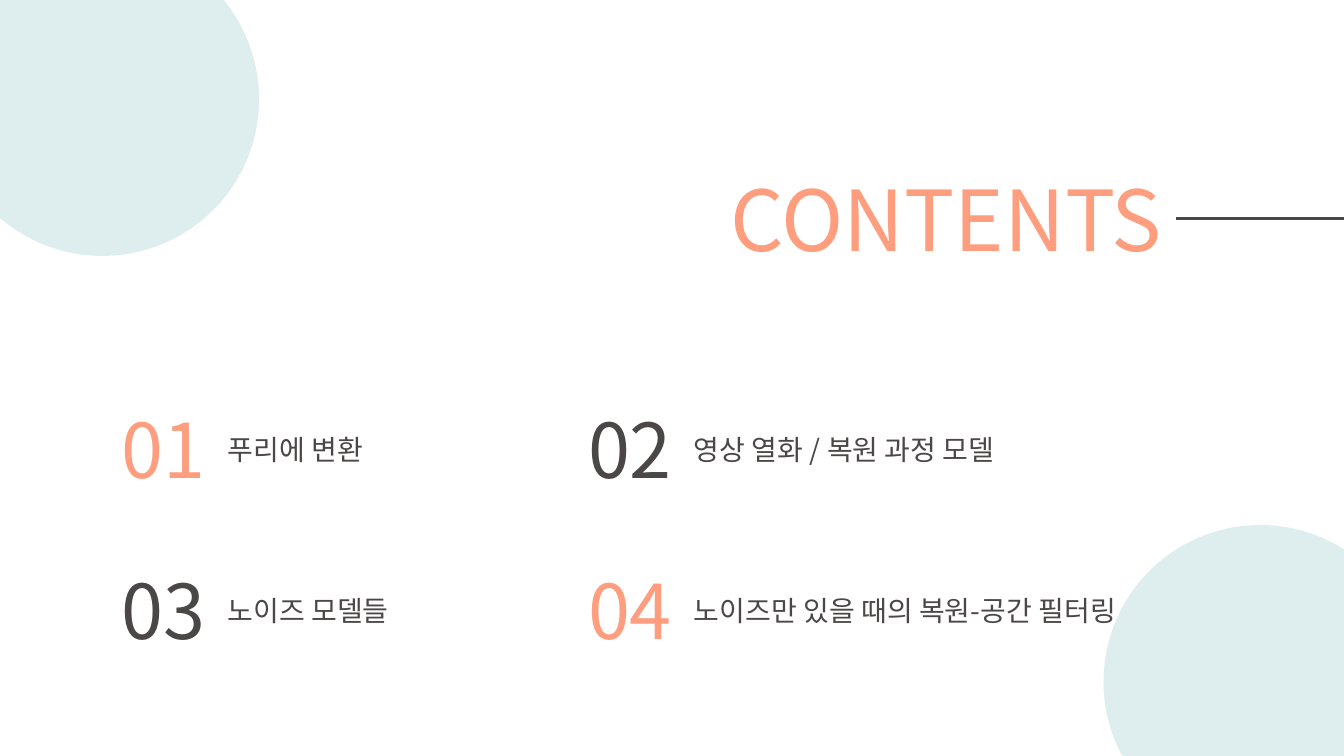
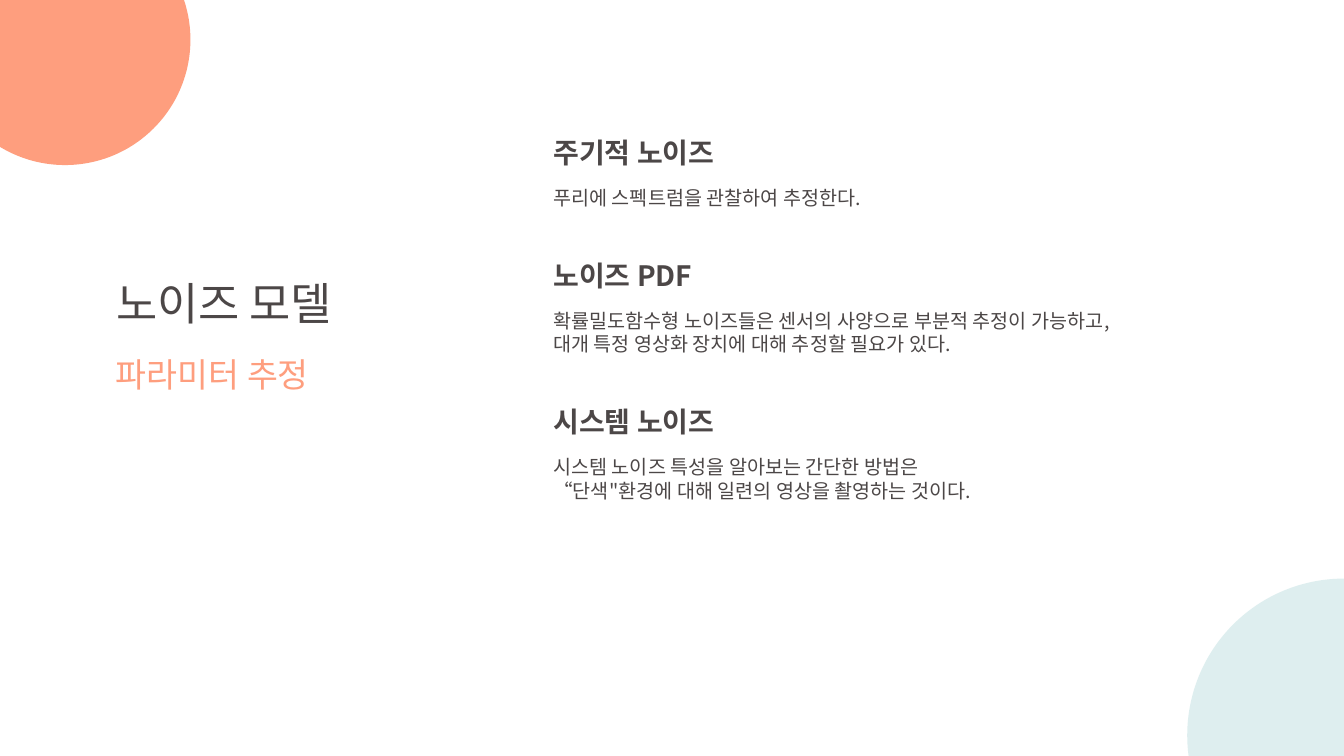
"""Build a contents slide and a noise model slide."""
from lxml import etree
from pptx import Presentation
from pptx import util as u
from pptx.dml.color import RGBColor
from pptx.enum import shapes, text
from pptx.oxml.ns import qn

CORAL = RGBColor(0xFE, 0x9E, 0x7E)
CHARCOAL = RGBColor(0x4C, 0x47, 0x47)
MINT = RGBColor(0xC8, 0xE4, 0xE5)
FONT = "Noto Sans CJK KR"
SLIDE_WIDTH, SLIDE_HEIGHT = 33.87, 19.05
MINT_DIAMETER = 7.9
TITLE_ONLY, TITLE_AND_BODY = 5, 1

AGENDA = [
    ("01", "푸리에 변환", CORAL),
    ("02", "영상 열화 / 복원 과정 모델", CHARCOAL),
    ("03", "노이즈 모델들", CHARCOAL),
    ("04", "노이즈만 있을 때의 복원-공간 필터링", CORAL),
]
SECTIONS = [
    ("주기적 노이즈", ["푸리에 스펙트럼을 관찰하여 추정한다."]),
    ("노이즈 PDF", ["확률밀도함수형 노이즈들은 센서의 사양으로 부분적 추정이 가능하고,",
                  "대개 특정 영상화 장치에 대해 추정할 필요가 있다."]),
    ("시스템 노이즈", ["시스템 노이즈 특성을 알아보는 간단한 방법은",
                  "“단색\"환경에 대해 일련의 영상을 촬영하는 것이다."]),
]


def write_text(frame, content, *, size, color=CHARCOAL, bold=False, before=0):
    paragraph = frame.paragraphs[0]
    if paragraph.runs:
        paragraph = frame.add_paragraph()
    properties = paragraph._p.get_or_add_pPr()
    properties.set("marL", "0")
    properties.set("indent", "0")
    etree.SubElement(properties, qn("a:buNone"))
    paragraph.alignment = text.PP_ALIGN.LEFT
    paragraph.line_spacing = 1.0
    paragraph.space_before = u.Pt(before)
    paragraph.space_after = u.Pt(0)
    run = paragraph.add_run()
    run.text = content
    run.font.size = u.Pt(size)
    run.font.bold = bold
    run.font.color.rgb = color
    run.font.name = FONT
    east_asian = etree.SubElement(run._r.get_or_add_rPr(), qn("a:ea"))
    east_asian.set("typeface", FONT)


class Deck:
    def __init__(self):
        self.presentation = Presentation()
        self.presentation.slide_width = u.Cm(SLIDE_WIDTH)
        self.presentation.slide_height = u.Cm(SLIDE_HEIGHT)
        self.slide = None

    def add_slide(self, layout):
        layouts = self.presentation.slide_layouts
        self.slide = self.presentation.slides.add_slide(layouts[layout])

    def prepare_frame(self, shape):
        frame = shape.text_frame
        frame.word_wrap = True
        frame.auto_size = text.MSO_AUTO_SIZE.NONE
        frame.vertical_anchor = text.MSO_ANCHOR.TOP
        return frame

    def fill_placeholder(self, shape, left, top, width, height):
        shape.left, shape.top = u.Cm(left), u.Cm(top)
        shape.width, shape.height = u.Cm(width), u.Cm(height)
        return self.prepare_frame(shape)

    def title(self, content, left, top, width, height, **style):
        frame = self.fill_placeholder(self.slide.shapes.title, left, top, width, height)
        write_text(frame, content, **style)

    def sections(self, sections, left, top, width, height):
        frame = self.fill_placeholder(self.slide.placeholders[1], left, top, width, height)
        for index, (heading, lines) in enumerate(sections):
            write_text(frame, heading, size=20, bold=True, before=35 if index else 0)
            for number, line in enumerate(lines):
                write_text(frame, line, size=14, before=0 if number else 12)

    def label(self, content, left, top, width, height, **style):
        box = self.slide.shapes.add_textbox(u.Cm(left), u.Cm(top), u.Cm(width), u.Cm(height))
        write_text(self.prepare_frame(box), content, **style)

    def circle(self, left, top, diameter=MINT_DIAMETER, color=MINT, opacity=60):
        shape = self.slide.shapes.add_shape(
            shapes.MSO_SHAPE.OVAL, u.Cm(left), u.Cm(top), u.Cm(diameter), u.Cm(diameter))
        shape.shadow.inherit = False
        shape.line.fill.background()
        shape.fill.solid()
        shape.fill.fore_color.rgb = color
        if opacity < 100:
            fill_color = shape._element.spPr.find(".//" + qn("a:srgbClr"))
            etree.SubElement(fill_color, qn("a:alpha")).set("val", str(opacity * 1000))

    def rule(self, left, right, top):
        connector = self.slide.shapes.add_connector(
            shapes.MSO_CONNECTOR.STRAIGHT, u.Cm(left), u.Cm(top), u.Cm(right), u.Cm(top))
        connector.line.color.rgb = CHARCOAL
        connector.line.width = u.Pt(2.25)
        etree.SubElement(connector._element.spPr, qn("a:effectLst"))


def build_contents(deck):
    deck.add_slide(TITLE_ONLY)
    deck.circle(-1.37, -1.45)
    deck.circle(27.81, 13.23)
    deck.title("CONTENTS", 18.16, 4.09, 11.48, 2.82, size=60, color=CORAL)
    deck.rule(29.64, SLIDE_WIDTH, 5.51)
    for index, (number, topic, color) in enumerate(AGENDA):
        row, column = divmod(index, 2)
        left, top = 2.82 + 11.75 * column, 10.03 + 4.06 * row
        deck.label(number, left, top, 2.67, 2.57, size=54, color=color)
        deck.label(topic, left + 2.67, top + 0.74, 12.5 if column else 8, 1.12, size=20)


def build_noise_model(deck):
    deck.add_slide(TITLE_AND_BODY)
    deck.circle(-1.52, -2.16, diameter=6.32, color=CORAL, opacity=100)
    deck.circle(29.92, 14.58)
    deck.title("노이즈 모델", 2.67, 6.83, 8, 1.63, size=32)
    deck.label("파라미터 추정", 2.67, 8.79, 8, 1.27, size=24, color=CORAL)
    deck.sections(SECTIONS, 13.69, 3.28, 16.5, 9.5)


def main():
    deck = Deck()
    build_contents(deck)
    build_noise_model(deck)
    deck.presentation.save("out.pptx")


if __name__ == "__main__":
    main()
